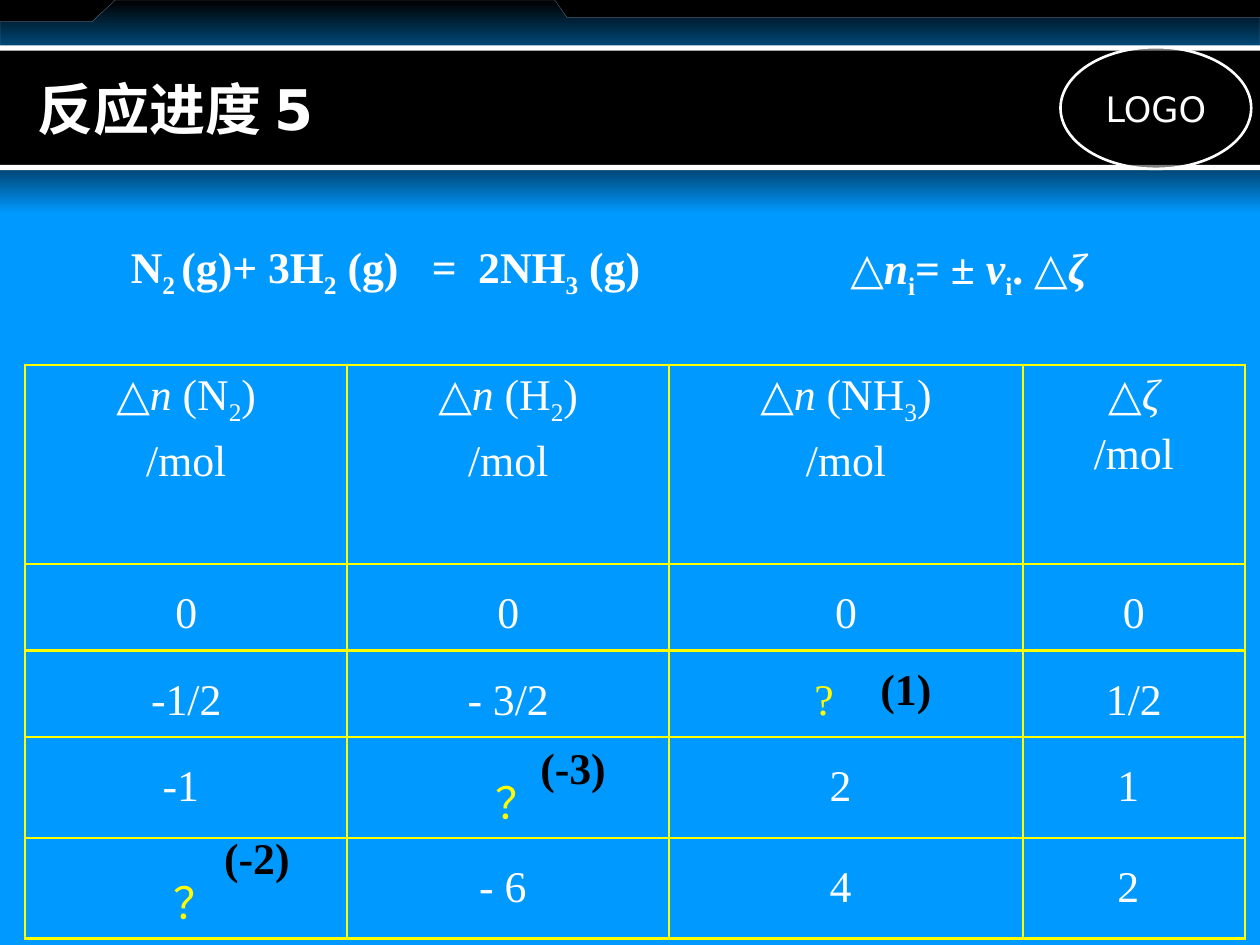
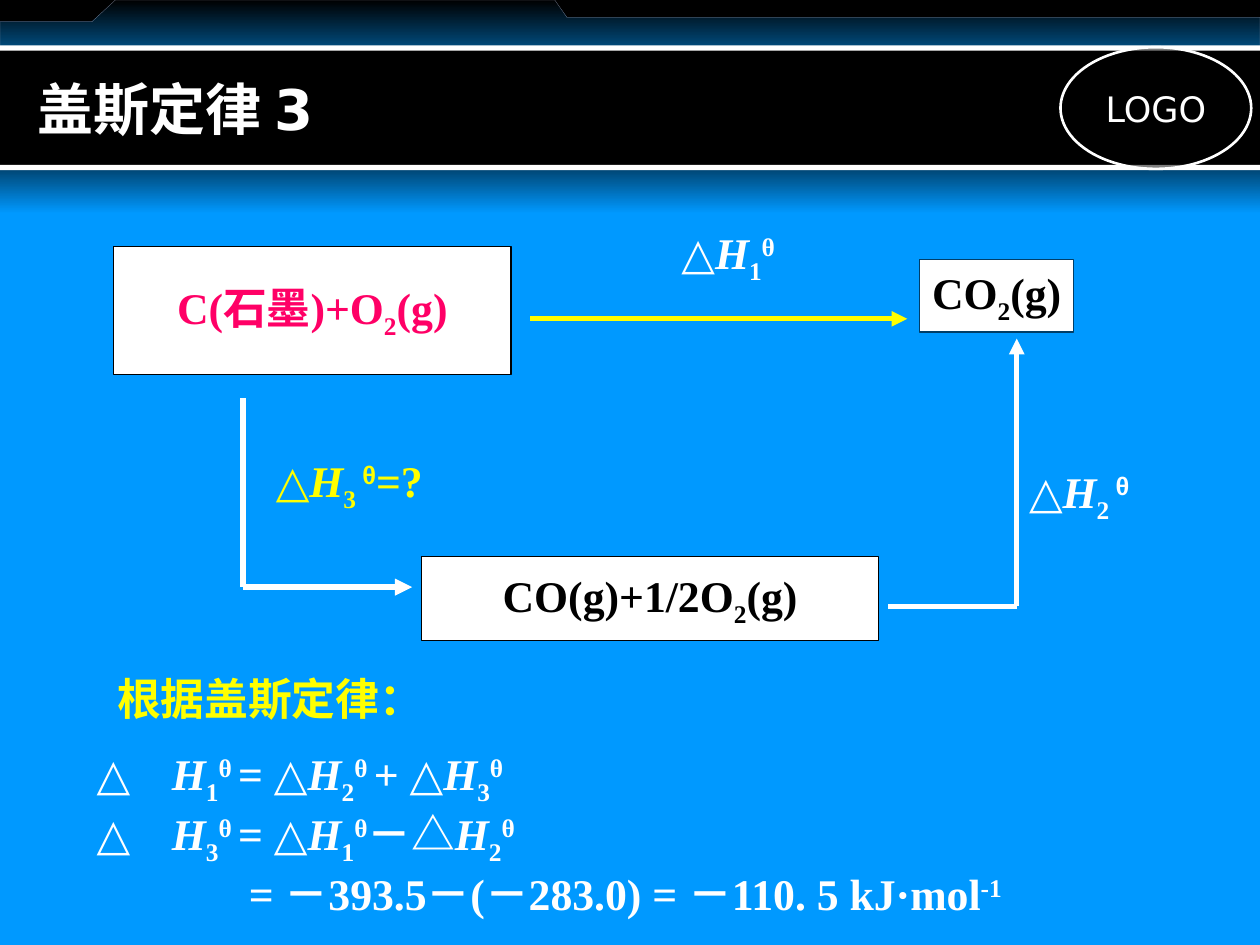
"""Build two chemistry slides: extent of reaction and Hess's law."""
from dataclasses import dataclass
from typing import Any, Optional

import lxml.etree
import pptx
import pptx.dml.color
import pptx.enum.shapes
import pptx.enum.text
import pptx.oxml
import pptx.oxml.ns
import pptx.util

Pt = pptx.util.Pt
qn = pptx.oxml.ns.qn
ALIGN = pptx.enum.text.PP_ALIGN
ANCHOR = pptx.enum.text.MSO_ANCHOR
SHAPE = pptx.enum.shapes.MSO_SHAPE


@dataclass(frozen=True)
class Theme:
    """Colours, fonts and type sizes of the deck."""

    black: str = "000000"
    white: str = "FFFFFF"
    blue: str = "0099FF"
    deep_blue: str = "004776"
    navy: str = "003E68"
    tab_edge: str = "878FA5"
    yellow: str = "FFFF00"
    pink: str = "FF0066"
    heading_font: str = "DejaVu Sans"
    body_font: str = "Times New Roman"
    symbol_font: str = "Arial"
    title_size: float = 32
    logo_size: float = 20
    body_size: float = 25


THEME = Theme()
WIDTH, HEIGHT = 720, 540


@dataclass(frozen=True)
class Box:
    """A rectangle in points."""

    left: float
    top: float
    width: float
    height: float

    def lengths(self) -> list[int]:
        """Return the four lengths as EMU."""
        return [Pt(v) for v in (self.left, self.top, self.width, self.height)]


@dataclass(frozen=True)
class Label:
    """Free text; * toggles italic, _ subscript, ^ superscript, ~ a sans superscript."""

    text: str
    box: Box
    colour: str = THEME.white
    wrap: bool = False
    line_spacing: Optional[float] = None
    space_before: float = 0
    tabs: tuple[float, ...] = ()


@dataclass(frozen=True)
class Species:
    """A boxed group of substances."""

    text: str
    box: Box
    colour: str = THEME.black
    edge: str = THEME.black


@dataclass(frozen=True)
class Stroke:
    """A straight line, with or without an arrowhead."""

    start: tuple[float, float]
    end: tuple[float, float]
    colour: str = THEME.white
    weight: float = 3
    arrow: bool = False


@dataclass(frozen=True)
class Entry:
    """The content of one table cell."""

    text: str
    colour: str = THEME.white
    left_indent: float = 0
    right_indent: float = 0


def rgb(code: str) -> pptx.dml.color.RGBColor:
    """Turn a hex code into a colour."""
    return pptx.dml.color.RGBColor.from_string(code)


def put_text(frame: Any, text: str, *, colour: str = THEME.white, size: float = THEME.body_size,
             font: str = THEME.body_font, bold: bool = True, align: Any = ALIGN.LEFT,
             line_spacing: Optional[float] = None, space_before: float = 0,
             left_indent: float = 0, right_indent: float = 0, tabs: tuple[float, ...] = ()) -> None:
    """Write marked-up lines as formatted paragraphs."""
    for index, line in enumerate(text.split("\n")):
        paragraph = frame.paragraphs[0] if index == 0 else frame.add_paragraph()
        paragraph.alignment = align
        paragraph.space_before = Pt(space_before)
        if line_spacing:
            paragraph.line_spacing = line_spacing
        properties = paragraph._p.get_or_add_pPr()
        for key, indent in (("marL", left_indent), ("marR", right_indent)):
            if indent:
                properties.set(key, str(Pt(indent)))
        if tabs:
            stops = lxml.etree.SubElement(properties, qn("a:tabLst"))
            for stop in tabs:
                lxml.etree.SubElement(stops, qn("a:tab"), pos=str(Pt(stop)), algn="l")
        active: set[str] = set()
        piece = ""
        for mark in line + "\0":
            if mark not in "*_^~\0":
                piece += mark
                continue
            if piece:
                run = paragraph.add_run()
                run.text = piece
                run.font.name = THEME.symbol_font if "~" in active else font
                run.font.size, run.font.bold = Pt(size), bold
                run.font.italic = "*" in active
                run.font.color.rgb = rgb(colour)
                if active & set("_^~"):
                    run._r.get_or_add_rPr().set("baseline", "-25000" if "_" in active else "30000")
            piece = ""
            active ^= {mark}


def paint(shape: Any, fill: str, edge: Optional[str] = None, weight: float = 0.75,
          fade_to: Optional[str] = None) -> None:
    """Set a flat or downward gradient fill, and the outline."""
    shape.shadow.inherit = False
    if fade_to:
        shape.fill.gradient()
        shape.fill.gradient_angle = 270
        for stop, position, code in zip(shape.fill.gradient_stops, (0, 1), (fill, fade_to)):
            stop.position, stop.color.rgb = position, rgb(code)
    else:
        shape.fill.solid()
        shape.fill.fore_color.rgb = rgb(fill)
    if edge:
        shape.line.color.rgb = rgb(edge)
        shape.line.width = Pt(weight)
    else:
        shape.line.fill.background()


def add_band(slide: Any, top: float, height: float, fill: str, fade_to: Optional[str] = None) -> None:
    """Draw a full-width band."""
    band = slide.shapes.add_shape(SHAPE.RECTANGLE, *Box(0, top, WIDTH, height).lengths())
    paint(band, fill, fade_to=fade_to)


def add_frame(slide: Any, title: str) -> None:
    """Draw the shared backdrop, the emblem and the title."""
    slide.background.fill.solid()
    slide.background.fill.fore_color.rgb = rgb(THEME.black)
    add_band(slide, 94.5, HEIGHT - 94.5, THEME.blue)
    add_band(slide, 97, 25, THEME.deep_blue, THEME.blue)
    outline = [(720, 55), (720, 10), (324, 10), (317, 0), (66, 0), (52.5, 12.5), (0, 12.5)]
    builder = slide.shapes.build_freeform(0, Pt(55))
    builder.add_line_segments([(Pt(x), Pt(y)) for x, y in outline], close=True)
    paint(builder.convert_to_shape(), THEME.black, THEME.tab_edge, 0.11, fade_to=THEME.blue)
    add_band(slide, 27.5, 69.5, THEME.black)
    for top in (94.2, 26):
        add_band(slide, top, 3, THEME.white)

    emblem = slide.shapes.add_shape(SHAPE.OVAL, *Box(606, 27, 109, 69.5).lengths())
    paint(emblem, THEME.black, THEME.white, 1.5)
    tint = emblem._element.spPr.find(qn("a:solidFill"))[0]
    lxml.etree.SubElement(tint, qn("a:alpha"), val="50000")
    emblem.text_frame.word_wrap = False
    emblem.text_frame.vertical_anchor = ANCHOR.MIDDLE
    put_text(emblem.text_frame, "LOGO", size=THEME.logo_size, font=THEME.heading_font,
             bold=False, align=ALIGN.CENTER)

    heading = slide.shapes.add_textbox(*Box(14.4, 29, 510, 65.5).lengths()).text_frame
    heading.word_wrap = True
    heading.vertical_anchor = ANCHOR.MIDDLE
    put_text(heading, title, size=THEME.title_size, font=THEME.heading_font)


def add_label(slide: Any, label: Label) -> None:
    """Place a free text."""
    frame = slide.shapes.add_textbox(*label.box.lengths()).text_frame
    frame.word_wrap = label.wrap
    put_text(frame, label.text, colour=label.colour, line_spacing=label.line_spacing,
             space_before=label.space_before, tabs=label.tabs)


def add_species(slide: Any, species: Species) -> None:
    """Place a white box with substances."""
    panel = slide.shapes.add_shape(SHAPE.RECTANGLE, *species.box.lengths())
    paint(panel, THEME.white, species.edge)
    panel.text_frame.word_wrap = False
    panel.text_frame.vertical_anchor = ANCHOR.MIDDLE
    put_text(panel.text_frame, species.text, colour=species.colour, align=ALIGN.CENTER)


def add_stroke(slide: Any, stroke: Stroke) -> None:
    """Draw a line or an arrow."""
    ends = [Pt(v) for v in stroke.start + stroke.end]
    connector = slide.shapes.add_connector(pptx.enum.shapes.MSO_CONNECTOR.STRAIGHT, *ends)
    connector.line.color.rgb = rgb(stroke.colour)
    connector.line.width = Pt(stroke.weight)
    if stroke.arrow:
        lxml.etree.SubElement(connector.line._get_or_add_ln(), qn("a:tailEnd"), type="triangle")
    lxml.etree.SubElement(connector._element.spPr, qn("a:effectLst"))


def add_borders(cell: Any, colour: str, weight: float) -> None:
    """Line all four sides of a cell."""
    properties = cell._tc.get_or_add_tcPr()
    for index, side in enumerate(("lnL", "lnR", "lnT", "lnB")):
        border = lxml.etree.Element(qn(f"a:{side}"), w=str(Pt(weight)))
        fill = lxml.etree.SubElement(border, qn("a:solidFill"))
        lxml.etree.SubElement(fill, qn("a:srgbClr"), val=colour)
        properties.insert(index, border)


def add_amounts(slide: Any, rows: list[list[Entry]], widths: list[float], heights: list[float]) -> None:
    """Draw the table of amounts."""
    box = Box(14.4, 208.6, sum(widths), sum(heights))
    table = slide.shapes.add_table(len(rows), len(widths), *box.lengths()).table
    table.first_row = table.horz_banding = False
    for column, width in zip(table.columns, widths):
        column.width = Pt(width)
    for index, (row, entries, height) in enumerate(zip(table.rows, rows, heights)):
        row.height = Pt(height)
        for cell, entry in zip(row.cells, entries):
            cell.fill.background()
            add_borders(cell, THEME.yellow, 1.47)
            put_text(cell.text_frame, entry.text, colour=entry.colour, bold=False,
                     align=ALIGN.CENTER, space_before=6.2, line_spacing=1.4 if index else None,
                     left_indent=entry.left_indent, right_indent=entry.right_indent)


def build_extent(slide: Any) -> None:
    """Fill the slide on the extent of reaction."""
    add_frame(slide, "反应进度 5")
    unknown = Entry("？", THEME.yellow, left_indent=11)
    heads = [f"△*n *({gas})\n/mol" for gas in ("N_2_", "H_2_", "NH_3_")] + ["△*ζ*\n/mol"]
    rows = [
        [Entry(head) for head in heads],
        [Entry("0")] * 4,
        [Entry("-1/2"), Entry("- 3/2"), Entry("?", THEME.yellow, right_indent=25), Entry("1/2")],
        [Entry("-1 "), unknown, Entry("2 "), Entry("1 ")],
        [unknown, Entry("- 6 "), Entry("4 "), Entry("2 ")],
    ]
    add_amounts(slide, rows, [184, 184, 202, 127], [113.7, 49.5, 49.5, 57.5, 57.5])
    labels = [
        Label("(1)", Box(496, 374.4, 48, 37.5), THEME.black, space_before=6.2),
        Label("(-3)", Box(301.7, 419.8, 54, 37.5), THEME.black),
        Label("(-2)", Box(121, 471, 54, 37.5), THEME.black),
        Label("N_2 _(g)+ 3H_2_ (g)\t=\t2NH_3_ (g)", Box(67.7, 134, 308, 38),
              line_spacing=0.9, space_before=6.2, tabs=(172, 198.5)),
        Label("△*n*_i_= ± *v*_i_. △*ζ*", Box(478.8, 134.6, 158, 38),
              line_spacing=0.9, space_before=6.2),
    ]
    for label in labels:
        add_label(slide, label)


def build_hess(slide: Any) -> None:
    """Fill the slide on Hess's law."""
    add_frame(slide, "盖斯定律 3")
    for species in (
        Species("C(石墨)+O_2_(g)", Box(65, 141, 227, 73), THEME.pink),
        Species("CO(g)+1/2O_2_(g)", Box(241, 318, 261, 48)),
        Species("CO_2_(g)", Box(525.6, 148.3, 88, 41.5), edge=THEME.navy),
    ):
        add_species(slide, species)
    for stroke in (
        Stroke((139, 227.5), (139, 335.5), weight=3.25),
        Stroke((139, 335.5), (235.5, 335.5), weight=3.25, arrow=True),
        Stroke((303, 182.2), (518.5, 182.2), THEME.yellow, arrow=True),
        Stroke((507.5, 346.5), (581, 346.5)),
        Stroke((581, 346.5), (581, 193.5), arrow=True),
    ):
        add_stroke(slide, stroke)
    derivation = ("∵ △*H*_1_^θ ^= △*H*_2_^θ ^+ △*H*_3_^θ^\n"
                  "∴ △*H*_3_^θ ^= △*H*_1_^θ^－△*H*_2_^θ^\n"
                  "\t= －393.5－(－283.0) = －110. 5 kJ·mol^-1^")
    for label in (
        Label("△*H*_3 _~θ~=?", Box(150.5, 255.6, 115, 39), THEME.yellow, wrap=True),
        Label("△*H*_1_^θ^", Box(382.3, 125.3, 76, 42)),
        Label("△*H*_2 _~θ~", Box(581, 262, 115, 39), wrap=True),
        Label("根据盖斯定律：", Box(59.8, 380.2, 289.5, 37.5), THEME.yellow, wrap=True),
        Label(derivation, Box(48.2, 423.4, 617.8, 106), wrap=True, tabs=(87,)),
    ):
        add_label(slide, label)


def main() -> None:
    """Build and save the deck."""
    deck = pptx.Presentation()
    deck.slide_width, deck.slide_height = Pt(WIDTH), Pt(HEIGHT)
    for build in (build_extent, build_hess):
        build(deck.slides.add_slide(deck.slide_layouts[6]))
    deck.save("out.pptx")


if __name__ == "__main__":
    main()
